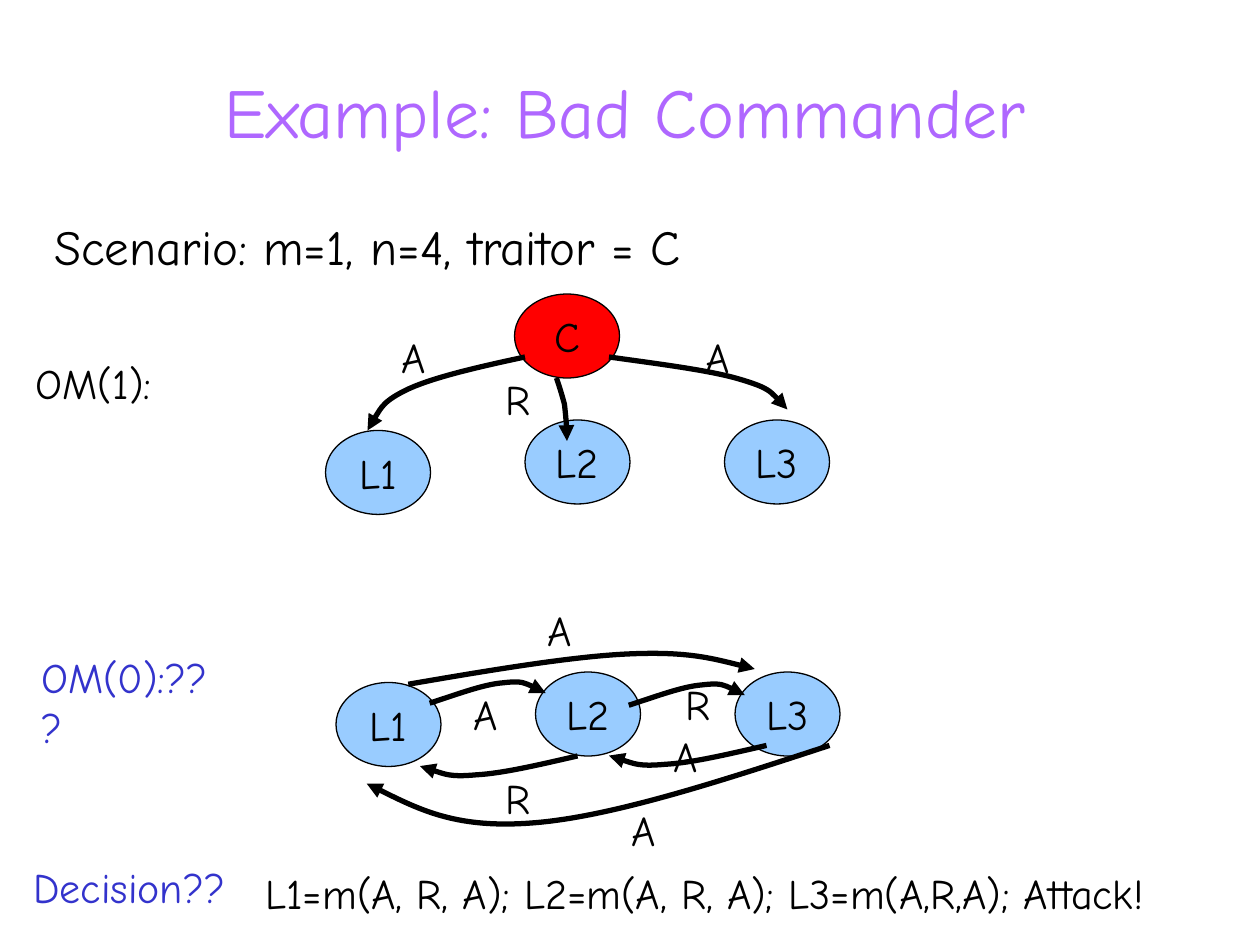
"""Build a slide showing the Byzantine generals with a bad commander."""
from lxml import etree
from pptx import Presentation
from pptx import util as u
from pptx.dml.color import RGBColor
from pptx.enum import shapes, text
from pptx.oxml.ns import qn

BLACK, RED, SKY, BLUE, PURPLE = "000000", "FF0000", "99CCFF", "3333CC", "AF67FF"


def colour(value):
    return RGBColor.from_string(value)


class Deck:
    def __init__(self, slide, font="Comic Neue", size=24):
        self.slide = slide
        self.font = font
        self.size = size

    def add_words(self, shape, words, size, ink, align, wrap):
        frame = shape.text_frame
        frame.word_wrap = wrap
        paragraph = frame.paragraphs[0]
        paragraph.alignment = align
        run = paragraph.add_run()
        run.text = words
        run.font.name = self.font
        run.font.size = u.Pt(size)
        run.font.color.rgb = colour(ink)

    def label(self, words, left, top, width=29.5, height=36, size=None,
              ink=BLACK, align=text.PP_ALIGN.LEFT, wrap=False):
        box = self.slide.shapes.add_textbox(*map(u.Pt, (left, top, width, height)))
        self.add_words(box, words, size or self.size, ink, align, wrap)
        return box

    def general(self, name, left, top, fill=SKY):
        shape = self.slide.shapes.add_shape(
            shapes.MSO_SHAPE.OVAL, *map(u.Pt, (left, top, 60, 48)))
        shape.shadow.inherit = False
        shape.fill.solid()
        shape.fill.fore_color.rgb = colour(fill)
        shape.line.color.rgb = colour(BLACK)
        shape.line.width = u.Pt(0.75)
        shape.text_frame.vertical_anchor = text.MSO_ANCHOR.MIDDLE
        self.add_words(shape, name, self.size, BLACK, text.PP_ALIGN.CENTER, False)

    def arrow(self, points, dx=0, dy=0):
        start, *rest = [(u.Pt(x + dx), u.Pt(y + dy)) for x, y in points]
        builder = self.slide.shapes.build_freeform(*start)
        builder.add_line_segments(rest, close=False)
        shape = builder.convert_to_shape()
        shape.shadow.inherit = False
        shape.fill.background()
        shape.line.color.rgb = colour(BLACK)
        shape.line.width = u.Pt(3)
        outline = next(shape.element.iter(qn("a:path")))
        segments = outline.findall(qn("a:lnTo"))
        for first in range(0, len(segments), 3):
            curve = etree.SubElement(outline, qn("a:cubicBezTo"))
            for segment in segments[first:first + 3]:
                curve.append(segment[0])
                outline.remove(segment)
        line = shape.element.spPr.find(qn("a:ln"))
        etree.SubElement(line, qn("a:tailEnd"), type="triangle")


def main():
    presentation = Presentation()
    presentation.slide_width, presentation.slide_height = u.Pt(720), u.Pt(540)
    deck = Deck(presentation.slides.add_slide(presentation.slide_layouts[6]))

    title = deck.label("Example: Bad Commander", 24, 24, 666, 78, 40, PURPLE,
                       text.PP_ALIGN.CENTER, True)
    title.text_frame.vertical_anchor = text.MSO_ANCHOR.MIDDLE
    deck.label("Scenario: m=1, n=4, traitor = C", 24, 120, 666, 360, 28, wrap=True)

    deck.general("C", 294, 168, RED)
    for left, top in ((186, 240), (192, 384)):
        deck.general("L1", left, top + 6)
        deck.general("L3", left + 228, top)
        deck.general("L2", left + 114, top)

    forward = [(245.5, 401.8), (261.4, 396.7), (276.5, 391), (287.3, 390.2),
               (298.8, 388.8), (305.3, 392.4), (311.8, 396)]
    backward = [(330, 432), (308.2, 437), (287.3, 442), (272.2, 442.8),
                (257, 444.2), (248.4, 440.6), (240, 437.8)]
    commander_to_l1 = [(300, 204), (274.3, 209.5), (249, 215.3), (234, 222),
                       (219, 229), (214.6, 237.6), (210, 246)]
    commander_to_l3 = [(348, 204), (376.6, 208), (406, 211.7), (422.6, 216.7),
                       (440, 221.8), (445, 228.2), (450, 234)]
    commander_to_l2 = [(318, 216), (319.7, 221), (321.1, 225.4), (322.6, 231.1),
                       (323.3, 237.6), (324, 244.8), (324, 252)]
    l1_to_l3 = [(233.3, 391), (280, 383), (326.9, 375.1), (359.3, 373.7),
                (392.4, 372.2), (411.8, 377.3), (431.3, 382.3)]
    l3_to_l1 = [(474, 426), (411.8, 446.4), (350, 466.6), (305.3, 470.2),
                (261.4, 473.8), (235.4, 460.8), (209.5, 447.8)]
    for points in (commander_to_l1, commander_to_l3, commander_to_l2,
                   forward, l1_to_l3, backward, l3_to_l1):
        deck.arrow(points)
    deck.arrow(forward, 113.8, 1.2)
    deck.arrow(backward, 108, -6)

    for order, left, top in (
            ("A", 222.5, 186), ("R", 282, 210), ("A", 396, 186),
            ("A", 263.5, 390), ("R", 281.5, 438), ("A", 354, 456),
            ("A", 378, 414), ("R", 384.5, 384), ("A", 306, 342)):
        deck.label(order, left, top)
    deck.label("OM(1):", 13.5, 201, 89)
    deck.label("OM(0):???", 16.5, 368.5, 115, ink=BLUE, wrap=True)
    deck.label("Decision??", 12, 489, 131, ink=BLUE)
    deck.label("L1=m(A, R, A); L2=m(A, R, A); L3=m(A,R,A); Attack!", 144.5, 492, 560)
    presentation.save("out.pptx")


if __name__ == "__main__":
    main()
